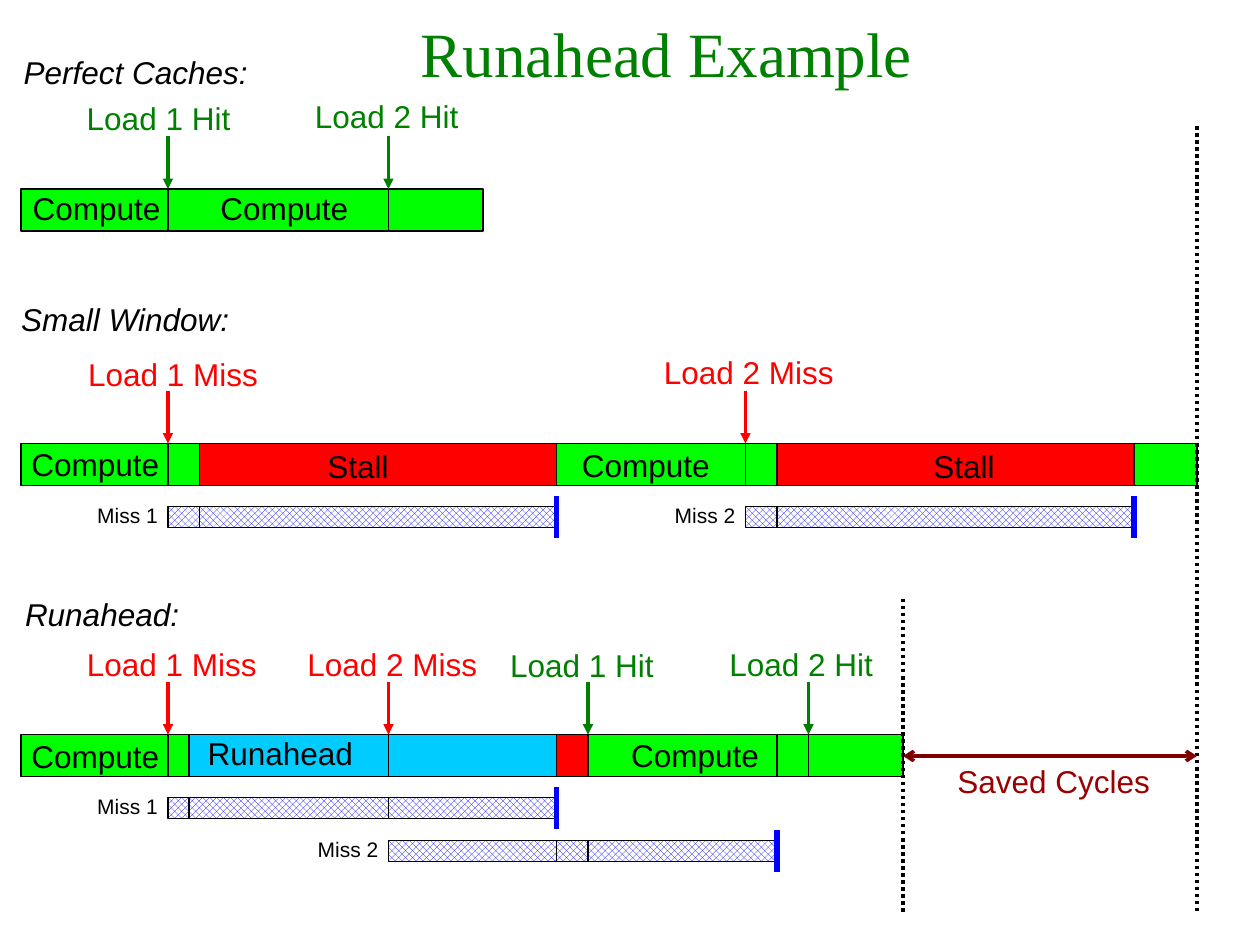
from lxml.etree import SubElement
from pptx import Presentation
from pptx.dml.color import RGBColor
from pptx.enum.dml import MSO_LINE, MSO_PATTERN
from pptx.enum.shapes import MSO_CONNECTOR, MSO_SHAPE
from pptx.enum.text import MSO_ANCHOR, MSO_AUTO_SIZE, PP_ALIGN
from pptx.oxml.ns import qn
from pptx.util import Inches, Pt

BLACK = RGBColor(0, 0, 0)
WHITE = RGBColor(0xFF, 0xFF, 0xFF)
LIME = RGBColor(0, 0xFF, 0)
GREEN = RGBColor(0, 0x80, 0)
RED = RGBColor(0xFF, 0, 0)
CYAN = RGBColor(0, 0xCC, 0xFF)
BLUE = RGBColor(0, 0, 0xFF)
MAROON = RGBColor(0x80, 0, 0)
CRIMSON = RGBColor(0x99, 0, 0)

COL = 1 / 12  # one cycle column, in inches
BAR_H, MISS_H = 4 * COL, 2 * COL
WIDTHS = {"Compute": 1.22, "Stall": 0.69, "Runahead": 1.37, "Load 1 Hit": 1.34,
          "Load 2 Hit": 1.34, "Load 1 Miss": 1.55, "Load 2 Miss": 1.55,
          "Miss 1": 0.68, "Miss 2": 0.68, "Saved Cycles": 1.83,
          "Perfect Caches:": 2.43, "Small Window:": 2.18, "Runahead:": 2.18}


def add_text(s, text, x, y, color=BLACK, size=18, italic=False, wrap=False):
    height = 0.4 if size == 18 else 0.3
    tf = s.shapes.add_textbox(Inches(x), Inches(y), Inches(WIDTHS[text]), Inches(height)).text_frame
    tf.word_wrap = wrap
    tf.auto_size = MSO_AUTO_SIZE.SHAPE_TO_FIT_TEXT
    p = tf.paragraphs[0]
    p.text = text
    p.font.name, p.font.size, p.font.italic = "Arial", Pt(size), italic
    p.font.color.rgb = color


def add_line(s, x1, y1, x2, y2, color, width, dash=None, head=None, tail=None):
    c = s.shapes.add_connector(MSO_CONNECTOR.STRAIGHT, Inches(x1), Inches(y1), Inches(x2), Inches(y2))
    c.line.color.rgb, c.line.width = color, Pt(width)
    if dash:
        c.line.dash_style = dash
    ln = c.line._get_or_add_ln()
    for tag, kind in (("a:headEnd", head), ("a:tailEnd", tail)):
        if kind:
            SubElement(ln, qn(tag), type=kind)
    SubElement(c._element.spPr, qn("a:effectLst"))


def add_box(s, start, end, y, h, color=None):
    """Solid box between two columns; hatched when no colour is given."""
    sp = s.shapes.add_shape(MSO_SHAPE.RECTANGLE, Inches(start * COL), Inches(y),
                            Inches((end - start) * COL), Inches(h))
    sp.shadow.inherit = False
    sp.line.color.rgb, sp.line.width = BLACK, Pt(0.75)
    if color is not None:
        sp.fill.solid()
        sp.fill.fore_color.rgb = color
    else:
        sp.fill.patterned()
        sp.fill.pattern = MSO_PATTERN.LARGE_CHECKER_BOARD
        sp.fill.fore_color.rgb, sp.fill.back_color.rgb = BLUE, WHITE


def add_miss(s, name, y, edges):
    for start, end in zip(edges, edges[1:]):
        add_box(s, start, end, y, MISS_H)
    add_text(s, name, edges[0] * COL - 0.66, y - 0.08, size=12)
    add_line(s, edges[-1] * COL, y - COL, edges[-1] * COL, y + 3 * COL, BLUE, 3)


def add_timeline(s, y, heading, edges, colors, labels, loads, misses=()):
    """One scenario; y is the top of its bar and all offsets are relative to it."""
    title, x, dy = heading
    add_text(s, title, x, y + dy, italic=True, wrap=True)
    for start, end, color in zip(edges, edges[1:], colors):
        add_box(s, start, end, y, BAR_H, color)
    for text, x, dy in labels:
        add_text(s, text, x, y + dy)
    for text, col, x, dy in loads:
        color = GREEN if text.endswith("Hit") else RED
        add_line(s, col * COL, y - 5 * COL, col * COL, y, color, 1.75, tail="triangle")
        add_text(s, text, x, y + dy, color)
    for name, dy, miss_edges in misses:
        add_miss(s, name, y + dy, miss_edges)


def add_savings(s, start, end):
    """Dotted finish lines and the span between them."""
    x1, x2 = start * COL, end * COL
    add_line(s, x1, 4.75, x1, 7.25, BLACK, 2, dash=MSO_LINE.ROUND_DOT)
    add_line(s, x2, 1, x2, 7.25, BLACK, 2, dash=MSO_LINE.ROUND_DOT)
    add_line(s, x1, 6, x2, 6, MAROON, 2, head="arrow", tail="arrow")
    add_text(s, "Saved Cycles", 7.5, 6, CRIMSON, wrap=True)


def add_title(s, text):
    title = s.shapes.title
    title.left, title.top = Inches(0.58), Inches(-0.17)
    title.width, title.height = Inches(9.42), Inches(1.17)
    tf = title.text_frame
    tf.vertical_anchor = MSO_ANCHOR.MIDDLE
    p = tf.paragraphs[0]
    p.text, p.alignment = text, PP_ALIGN.CENTER
    p.font.name, p.font.size = "Times New Roman", Pt(36)
    p.font.color.rgb = GREEN


prs = Presentation()
prs.slide_width, prs.slide_height = Inches(10), Inches(7.5)
s = prs.slides.add_slide(prs.slide_layouts[5])
add_title(s, "Runahead Example")

# Perfect caches
add_timeline(s, 1.5, ("Perfect Caches:", 0.09, -1.13), (2, 16, 37, 46), (LIME,) * 3,
             [("Compute", 0.16, -0.05), ("Compute", 1.65, -0.05)],
             [("Load 1 Hit", 16, 0.59, -0.76), ("Load 2 Hit", 37, 2.4, -0.78)])

# Small window
add_timeline(s, 3.52, ("Small Window:", 0.07, -1.19), (2, 16, 19, 53, 71, 74, 108, 114),
             (LIME, LIME, RED, LIME, LIME, RED, LIME),
             [("Compute", 0.15, -0.04), ("Stall", 2.5, -0.02),
              ("Compute", 4.52, -0.03), ("Stall", 7.31, -0.02)],
             [("Load 1 Miss", 16, 0.6, -0.75), ("Load 2 Miss", 71, 5.17, -0.77)],
             [("Miss 1", 0.5, (16, 19, 53)), ("Miss 2", 0.5, (71, 74, 108))])

# Runahead
add_timeline(s, 5.83, ("Runahead:", 0.1, -1.16), (2, 16, 18, 37, 53, 56, 74, 77, 86),
             (LIME, LIME, CYAN, CYAN, RED, LIME, LIME, LIME),
             [("Compute", 0.15, -0.03), ("Runahead", 1.55, -0.05), ("Compute", 4.91, -0.04)],
             [("Load 1 Miss", 16, 0.59, -0.76), ("Load 2 Miss", 37, 2.34, -0.76),
              ("Load 1 Hit", 56, 3.95, -0.75), ("Load 2 Hit", 77, 5.69, -0.76)],
             [("Miss 1", 0.5, (16, 18, 37, 53)), ("Miss 2", 0.84, (37, 53, 56, 74))])

add_savings(s, 86, 114)
prs.save("out.pptx")
